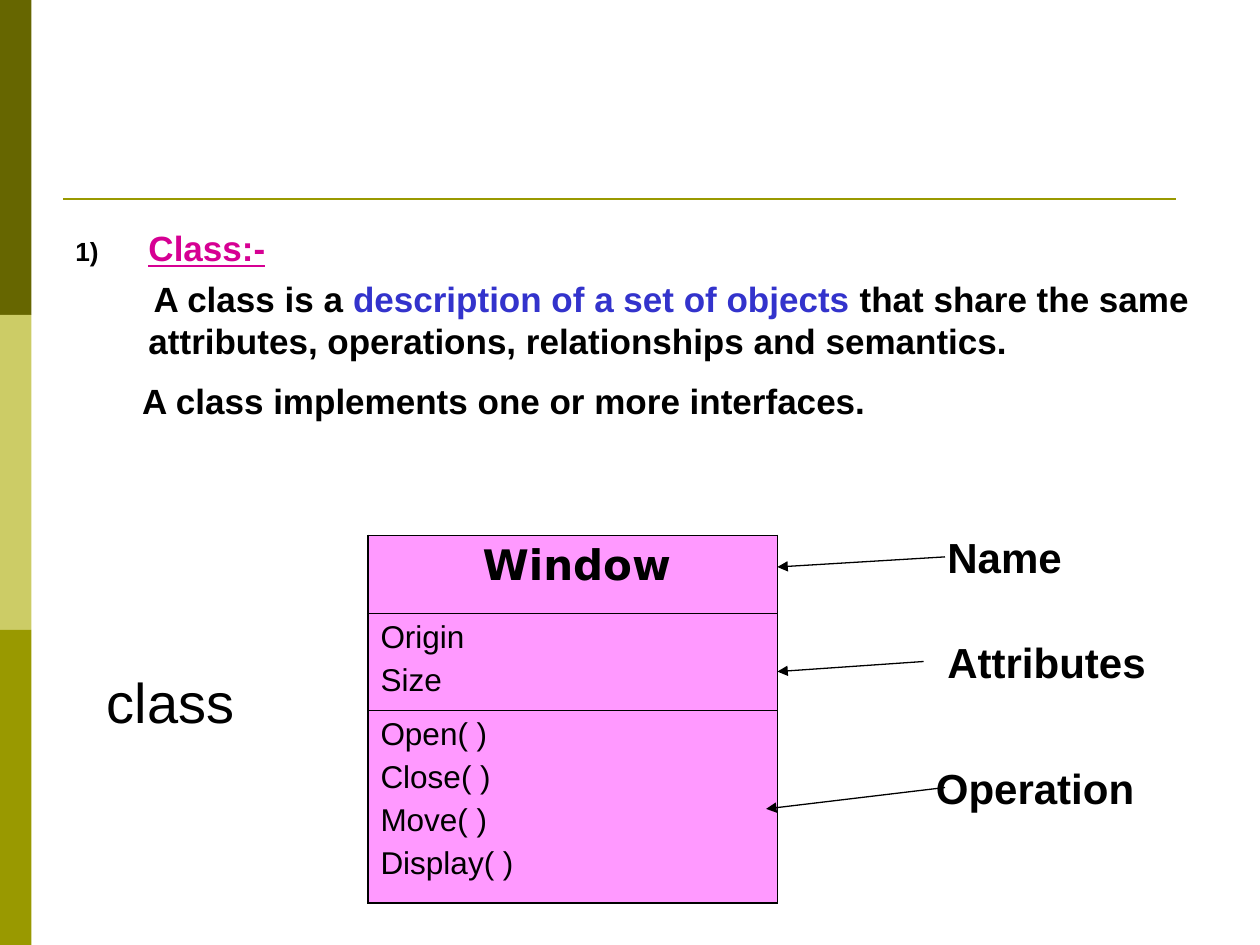
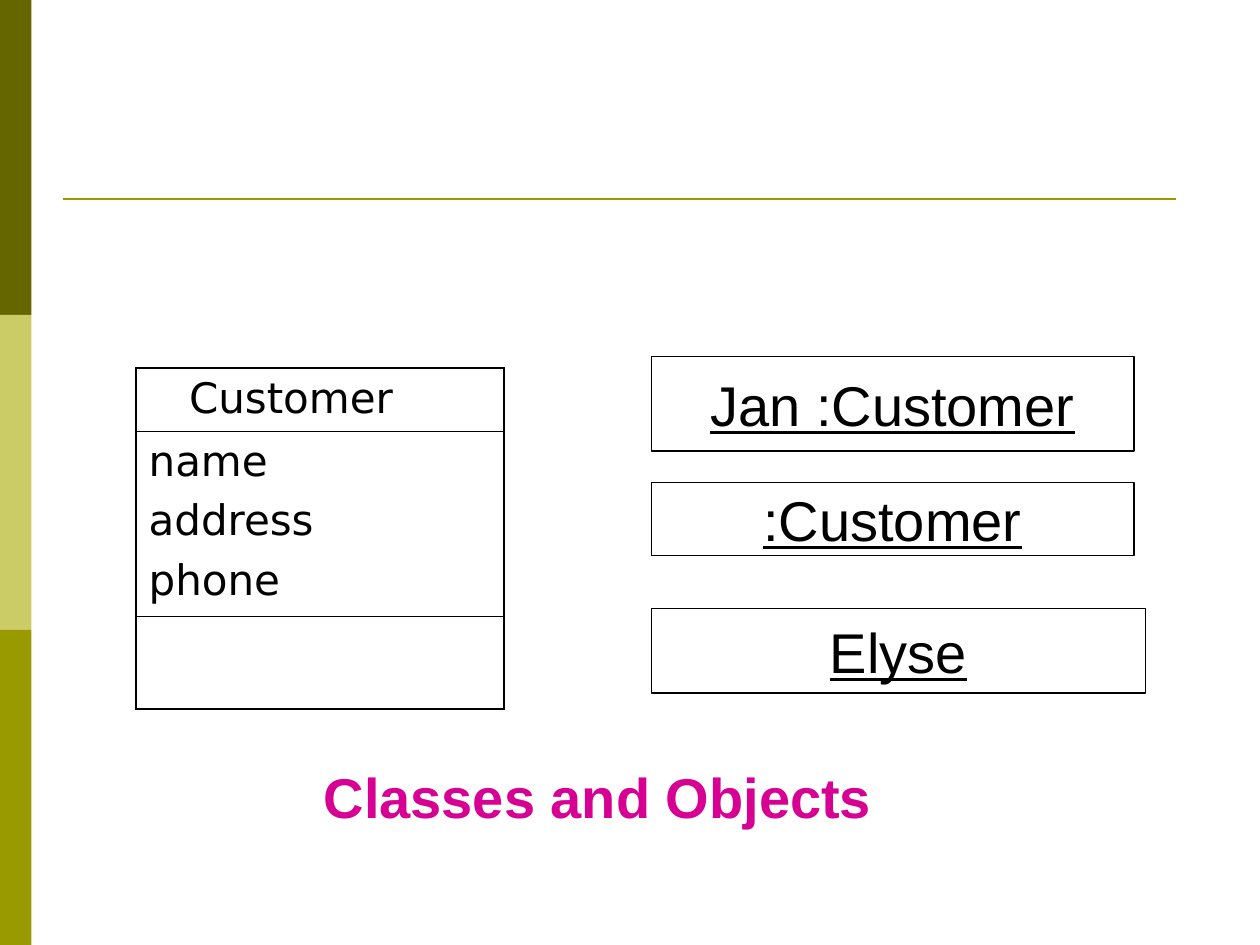
from lxml import etree
from pptx import Presentation
from pptx.dml.color import RGBColor
from pptx.enum.shapes import MSO_CONNECTOR, MSO_SHAPE
from pptx.enum.text import MSO_ANCHOR, PP_ALIGN
from pptx.oxml.ns import qn
from pptx.util import Inches, Pt

STRAIGHT = MSO_CONNECTOR.STRAIGHT
RECTANGLE = MSO_SHAPE.RECTANGLE
CENTER = PP_ALIGN.CENTER
MIDDLE = MSO_ANCHOR.MIDDLE
BLANK_LAYOUT = 6

BLACK, MAGENTA, BLUE, PINK = "000000", "D60093", "3333CC", "FF99FF"
OLIVE = "999900"
BANDS = ["666600", "CCCC66", OLIVE]
BAND_WIDTH, BAND_HEIGHT = 0.25, 2.5
RULE = ((0.5, 1.58), (9.33, 1.58))
OUTER_BORDER, INNER_BORDER = 1.08, 0.45

HEADING = {"name": "Arial", "size": Pt(20), "bold": True, "underline": True}
BODY = {"name": "Arial", "size": Pt(20), "bold": True}
MEMBER = {"name": "Arial", "size": Pt(18), "bold": False}
LABEL = {"name": "Arial", "size": Pt(24), "bold": True}
CAPTION = {"name": "Arial", "size": Pt(32), "bold": False}
BOLD_CAPTION = {**CAPTION, "bold": True}
OBJECT = {**CAPTION, "underline": True}
CLASS_NAME = {"name": "DejaVu Sans", "size": Pt(24), "bold": True}
FIELD = {**CLASS_NAME, "bold": False}

DEFINITION_BOX = (0.5, 1.75, 9.08, 5.42)
DEFINITION = [
    (0.58, -0.58, 5, [("Class:-", HEADING, MAGENTA)]),
    (0.58, 0.04, 5, [
        ("A class is a ", BODY, BLACK),
        ("description of a set of objects", BODY, BLUE),
        (" that share the same attributes, operations, relationships and semantics.", BODY, BLACK),
    ]),
    (0.53, 0, 10, [("A class implements one or more interfaces.", BODY, BLACK)]),
]
WINDOW_CLASS = {
    "place": (2.92, 4.25, 3.25), "fill": PINK, "name_indent": 0.81, "spacing": 4.5,
    "rows": [
        (0.62, ["Window"], CLASS_NAME),
        (0.77, ["Origin", "Size"], MEMBER),
        (1.53, ["Open( )", "Close( )", "Move( )", "Display( )"], MEMBER),
    ],
}
CUSTOMER_CLASS = {
    "place": (1.08, 2.92, 2.92), "fill": None, "name_indent": 0.32, "spacing": 6,
    "rows": [
        (0.5, ["Customer"], FIELD),
        (1.47, ["name", "address", "phone"], FIELD),
        (0.74, [], FIELD),
    ],
}
PART_LABELS = [
    ("Name", (7.42, 4.17, 1.75, 0.5), (7.5, 4.42), (6.17, 4.5)),
    ("Attributes", (7.42, 5, 2.08, 0.5), (7.33, 5.25), (6.17, 5.33)),
    ("Operation", (7.33, 6, 1.83, 0.5), (7.5, 6.25), (6.08, 6.42)),
]
CLASS_CAPTION = ("class", (0.75, 5.25, 1.58, 0.64))
CUSTOMER_OBJECTS = [
    ("Jan :Customer", (5.17, 2.83, 3.83, 0.75)),
    (":Customer", (5.17, 3.83, 3.83, 0.58)),
    ("Elyse", (5.17, 4.83, 3.92, 0.67)),
]
OBJECTS_CAPTION = ("Classes and Objects", (2.08, 6, 5.33, 0.64))


def color(value):
    return RGBColor.from_string(value)


def inches(values):
    return [Inches(value) for value in values]


def add_run(paragraph, text, style, ink):
    run = paragraph.add_run()
    run.text = text
    for attribute, value in style.items():
        setattr(run.font, attribute, value)
    run.font.color.rgb = color(ink)


def indent(paragraph, left, first_line):
    properties = paragraph._p.get_or_add_pPr()
    properties.set("marL", str(Inches(left)))
    properties.set("indent", str(Inches(first_line)))
    return properties


def paragraph_at(frame, index):
    return frame.add_paragraph() if index else frame.paragraphs[0]


def add_text(slide, text, place, style, ink=BLACK, align=None):
    frame = slide.shapes.add_textbox(*inches(place)).text_frame
    frame.word_wrap = True
    frame.paragraphs[0].alignment = align
    add_run(frame.paragraphs[0], text, style, ink)


def add_line(slide, start, end, ink, width, arrow=False):
    line = slide.shapes.add_connector(STRAIGHT, *inches(start + end))
    line.line.color.rgb = color(ink)
    line.line.width = Pt(width)
    if arrow:
        etree.SubElement(line.line._get_or_add_ln(), qn("a:tailEnd"), type="triangle")
    etree.SubElement(line._element.spPr, qn("a:effectLst"))


def add_box(slide, place, fill=None, outline=None):
    box = slide.shapes.add_shape(RECTANGLE, *inches(place))
    box.shadow.inherit = False
    for part, ink in ((box.fill, fill), (box.line.fill, outline)):
        if ink:
            part.solid()
            part.fore_color.rgb = color(ink)
        else:
            part.background()
    if outline:
        box.line.width = Pt(0.75)
    return box


def add_base_slide(deck):
    slide = deck.slides.add_slide(deck.slide_layouts[BLANK_LAYOUT])
    for index, ink in enumerate(BANDS):
        add_box(slide, (0, index * BAND_HEIGHT, BAND_WIDTH, BAND_HEIGHT), fill=ink)
    add_line(slide, *RULE, OLIVE, 1.5)
    return slide


def add_definition(slide):
    frame = slide.shapes.add_textbox(*inches(DEFINITION_BOX)).text_frame
    frame.word_wrap = True
    for index, (left, first_line, spacing, runs) in enumerate(DEFINITION):
        paragraph = paragraph_at(frame, index)
        paragraph.space_before = Pt(spacing)
        properties = indent(paragraph, left, first_line)
        if index == 0:
            bullet_color = etree.SubElement(properties, qn("a:buClr"))
            etree.SubElement(bullet_color, qn("a:srgbClr"), val=BLACK)
            etree.SubElement(properties, qn("a:buSzPct"), val="75000")
            etree.SubElement(properties, qn("a:buFont"), typeface="Arial")
            etree.SubElement(properties, qn("a:buAutoNum"), type="arabicParenR")
        for run in runs:
            add_run(paragraph, *run)


def set_borders(cell, top, bottom):
    properties = cell._tc.get_or_add_tcPr()
    widths = {"lnL": OUTER_BORDER, "lnR": OUTER_BORDER, "lnT": top, "lnB": bottom}
    for side, width in widths.items():
        border = etree.SubElement(properties, qn(f"a:{side}"), w=str(Pt(width)))
        fill = etree.SubElement(border, qn("a:solidFill"))
        etree.SubElement(fill, qn("a:srgbClr"), val=BLACK)


def add_class_table(slide, diagram):
    rows = diagram["rows"]
    height = sum(row[0] for row in rows)
    table = slide.shapes.add_table(len(rows), 1, *inches(diagram["place"] + (height,))).table
    table.first_row = table.horz_banding = False
    last = len(rows) - 1
    for index, (row_height, members, style) in enumerate(rows):
        table.rows[index].height = Inches(row_height)
        cell = table.cell(index, 0)
        set_borders(cell, INNER_BORDER if index else OUTER_BORDER,
                    OUTER_BORDER if index == last else INNER_BORDER)
        if diagram["fill"]:
            cell.fill.solid()
            cell.fill.fore_color.rgb = color(diagram["fill"])
        else:
            cell.fill.background()
        for position, member in enumerate(members):
            paragraph = paragraph_at(cell.text_frame, position)
            paragraph.space_before = Pt(diagram["spacing"])
            if index == 0:
                indent(paragraph, 0, diagram["name_indent"])
            add_run(paragraph, member, style, BLACK)


def build_class_slide(deck):
    slide = add_base_slide(deck)
    add_definition(slide)
    add_class_table(slide, WINDOW_CLASS)
    for text, place, start, end in PART_LABELS:
        add_line(slide, start, end, BLACK, 0.75, arrow=True)
        add_text(slide, text, place, LABEL)
    add_text(slide, *CLASS_CAPTION, CAPTION)


def build_objects_slide(deck):
    slide = add_base_slide(deck)
    add_class_table(slide, CUSTOMER_CLASS)
    add_text(slide, *OBJECTS_CAPTION, BOLD_CAPTION, MAGENTA, CENTER)
    for text, place in CUSTOMER_OBJECTS:
        frame = add_box(slide, place, outline=BLACK).text_frame
        frame.word_wrap = False
        frame.vertical_anchor = MIDDLE
        frame.paragraphs[0].alignment = CENTER
        add_run(frame.paragraphs[0], text, OBJECT, BLACK)


def main():
    deck = Presentation()
    deck.slide_width, deck.slide_height = Inches(10), Inches(7.5)
    build_class_slide(deck)
    build_objects_slide(deck)
    deck.save("out.pptx")


if __name__ == "__main__":
    main()
